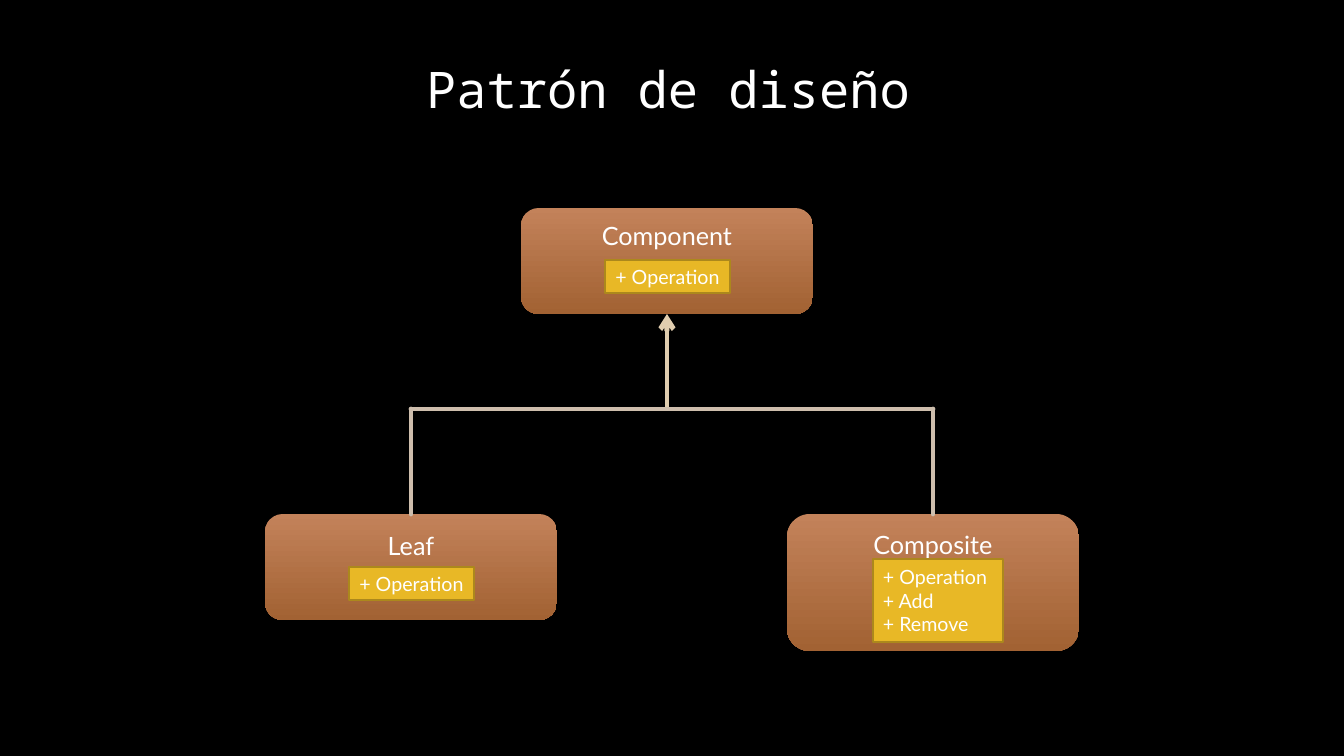
from dataclasses import dataclass

from lxml.etree import SubElement
from pptx import Presentation
from pptx.dml.color import RGBColor
from pptx.enum.shapes import MSO_CONNECTOR, MSO_SHAPE
from pptx.enum.text import MSO_ANCHOR, MSO_AUTO_SIZE, PP_ALIGN
from pptx.oxml.ns import qn
from pptx.util import Pt

EMU_PER_PX = 914400 / 100.8


@dataclass(frozen=True)
class Theme:
    background: RGBColor = RGBColor.from_string("000000")
    text: RGBColor = RGBColor.from_string("FFFFFF")
    card_top: RGBColor = RGBColor.from_string("C3825A")
    card_bottom: RGBColor = RGBColor.from_string("A26233")
    member: RGBColor = RGBColor.from_string("E8B826")
    member_edge: RGBColor = RGBColor.from_string("AC881C")
    arrow: RGBColor = RGBColor.from_string("E0CDAF")
    branch: RGBColor = RGBColor.from_string("CEBEAD")
    title_font: str = "Noto Sans Mono"
    body_font: str = "Lato"
    title_size: Pt = Pt(36)
    class_size: Pt = Pt(18)
    member_size: Pt = Pt(14)
    member_line: Pt = Pt(1.25)
    connector_line: Pt = Pt(3.5)


theme = Theme()


def px(*lengths):
    return [round(length * EMU_PER_PX) for length in lengths]


def write(frame, lines, font, size, align):
    """Fill a text frame with one paragraph per line."""
    frame.word_wrap = True
    for index, line in enumerate(lines):
        para = frame.paragraphs[0] if index == 0 else frame.add_paragraph()
        para.alignment = align
        span = para.add_run()
        span.text = line
        span.font.name = font
        span.font.size = size
        span.font.color.rgb = theme.text


deck = Presentation()
deck.slide_width, deck.slide_height = px(1344, 756)
page = deck.slides.add_slide(deck.slide_layouts[5])
page.background.fill.solid()
page.background.fill.fore_color.rgb = theme.background

title = page.shapes.title
title.left, title.top, title.width, title.height = px(332, 52, 672, 72)
title.text_frame.auto_size = MSO_AUTO_SIZE.NONE
title.text_frame.vertical_anchor = MSO_ANCHOR.MIDDLE
write(title.text_frame, ["Patrón de diseño"], theme.title_font,
      theme.title_size, PP_ALIGN.CENTER)

# Class name, card box, top inset, members, member box, member alignment
classes = [
    ("Component", (521, 208, 292, 106), 7,
     ["+ Operation"], (605, 260, 125, 33), PP_ALIGN.CENTER),
    ("Leaf", (265, 514, 292, 106), 11,
     ["+ Operation"], (349, 567, 125, 33), PP_ALIGN.CENTER),
    ("Composite", (787, 514, 292, 137), 9,
     ["+ Operation", "+ Add", "+ Remove"], (873, 559, 130, 83), PP_ALIGN.LEFT),
]
cards = {}
for name, card_box, inset, members, member_box, align in classes:
    card = page.shapes.add_shape(MSO_SHAPE.ROUNDED_RECTANGLE, *px(*card_box))
    card.shadow.inherit = False
    card.fill.gradient()
    card.fill.gradient_angle = 270
    for stop, color in zip(card.fill.gradient_stops,
                           (theme.card_top, theme.card_bottom)):
        stop.color.rgb = color
    card.line.fill.background()
    card.text_frame.vertical_anchor = MSO_ANCHOR.TOP
    card.text_frame.margin_top, = px(inset)
    write(card.text_frame, [name], theme.body_font, theme.class_size,
          PP_ALIGN.CENTER)
    cards[name] = card

    member_list = page.shapes.add_shape(MSO_SHAPE.RECTANGLE, *px(*member_box))
    member_list.shadow.inherit = False
    member_list.fill.solid()
    member_list.fill.fore_color.rgb = theme.member
    member_list.line.color.rgb = theme.member_edge
    member_list.line.width = theme.member_line
    member_list.text_frame.vertical_anchor = MSO_ANCHOR.MIDDLE
    write(member_list.text_frame, members, theme.body_font,
          theme.member_size, align)

# Start, end, colour, card joined at the end, side of that card
branch_y = 409
connectors = [
    ((667, 407), (667, 314), theme.arrow, "Component", 2),
    ((411, branch_y), (933, branch_y), theme.branch, None, None),
    ((411, branch_y), (411, 514), theme.branch, "Leaf", 0),
    ((933, branch_y), (933, 514), theme.branch, "Composite", 0),
]
for start, end, color, target, side in connectors:
    connector = page.shapes.add_connector(MSO_CONNECTOR.STRAIGHT,
                                          *px(*start, *end))
    connector.line.color.rgb = color
    connector.line.width = theme.connector_line
    outline = connector.line._get_or_add_ln()
    outline.set("cap", "rnd")
    if target:
        connector.end_connect(cards[target], side)
    if target == "Component":
        SubElement(outline, qn("a:tailEnd"), type="arrow")
    SubElement(connector._element.spPr, qn("a:effectLst"))

deck.save("out.pptx")
